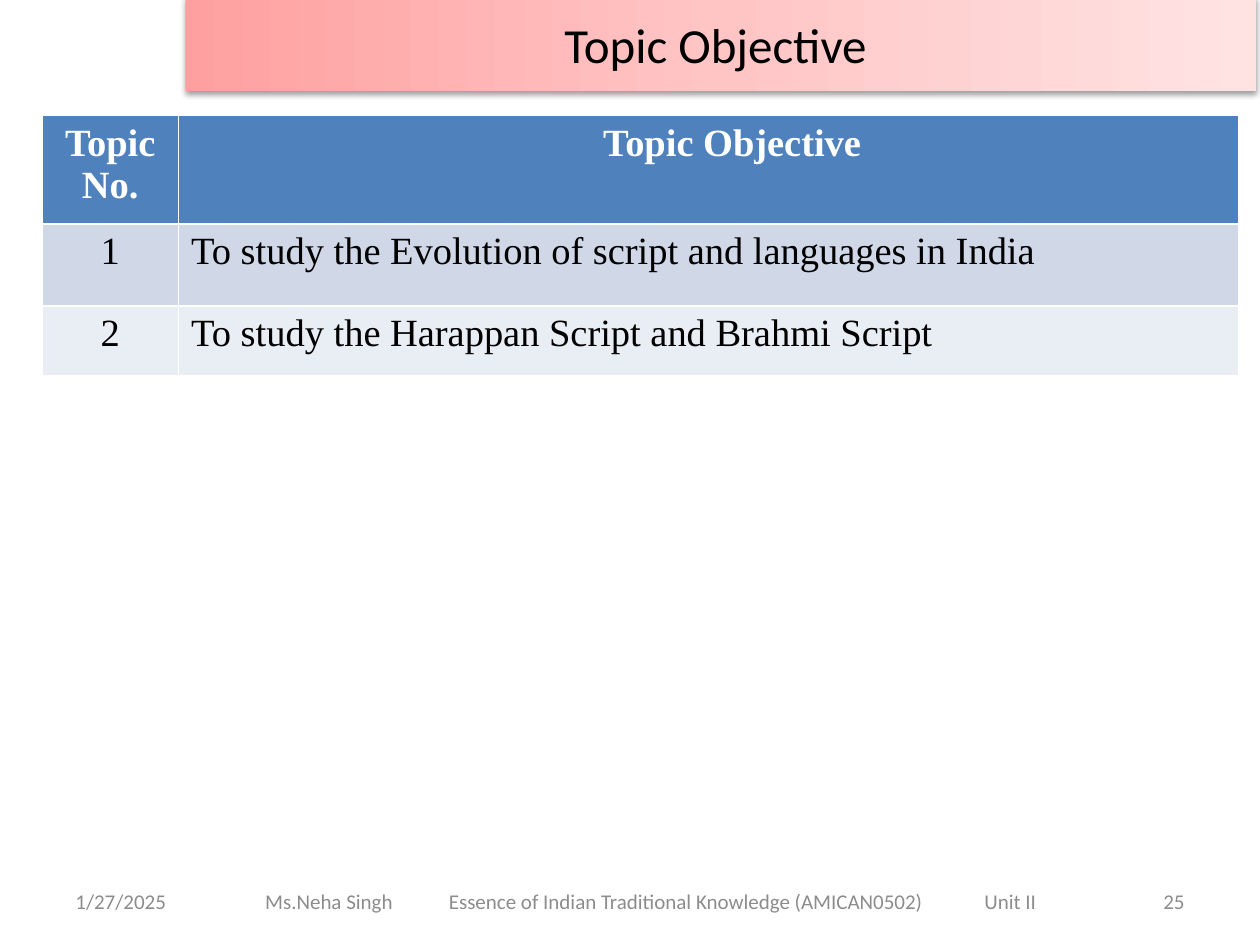
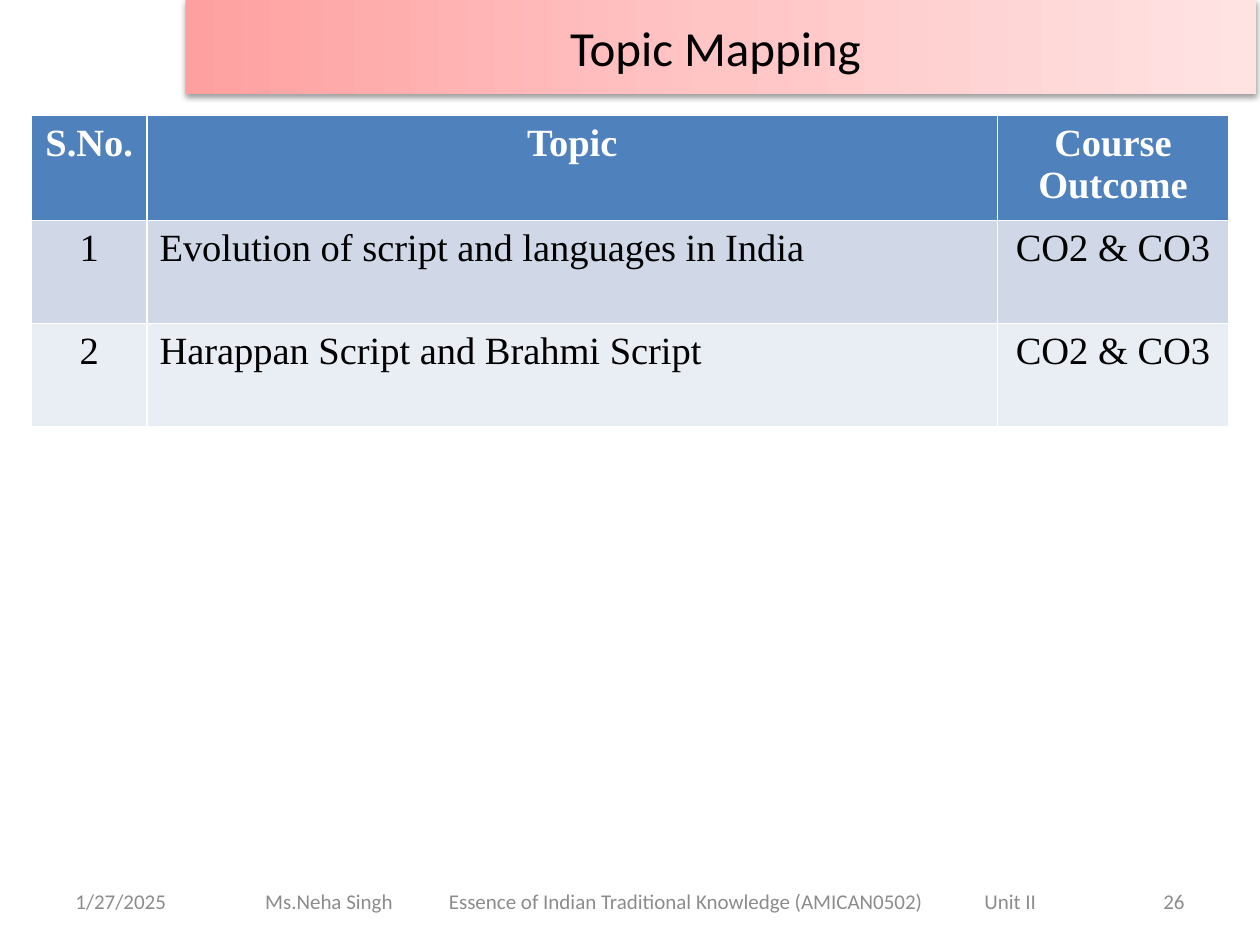
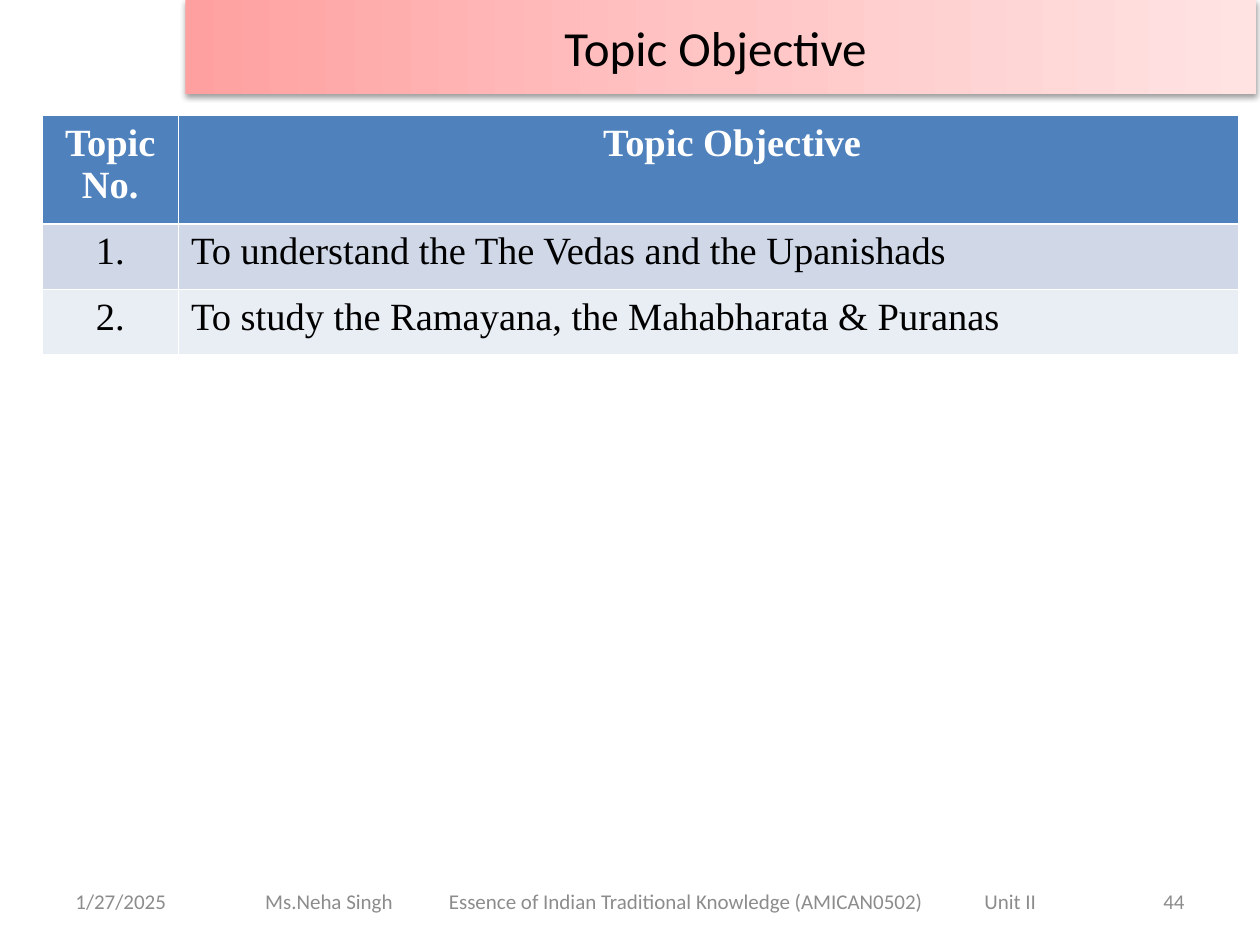
import pptx
import pptx.util
import pptx.oxml
import pptx.oxml.ns
import pptx.dml.color
import pptx.enum.text

Pt = pptx.util.Pt
RGB = pptx.dml.color.RGBColor
ALIGN = pptx.enum.text.PP_ALIGN
MIDDLE = pptx.enum.text.MSO_ANCHOR.MIDDLE

# Shared colours, fonts and texts
BLACK = RGB(0x00, 0x00, 0x00)
WHITE = RGB(0xFF, 0xFF, 0xFF)
GREY = RGB(0x8C, 0x8C, 0x8C)
HEAD = RGB(0x4F, 0x81, 0xBD)
BANDS = [RGB(0xD0, 0xD8, 0xE8), RGB(0xE9, 0xED, 0xF4)]
PINKS = [(0, RGB(0xFF, 0xA0, 0xA0)), (50, RGB(0xFF, 0xC5, 0xC5)),
         (100, RGB(0xFF, 0xE3, 0xE3))]
SANS, SERIF = "Calibri", "Times New Roman"
DATE = "1/27/2025"
COURSE = ("Ms.Neha Singh\tEssence of Indian Traditional Knowledge "
          "(AMICAN0502)\tUnit II")
TABS = [105, 411]
LEFT, MID, RIGHT, JUST = ALIGN.LEFT, ALIGN.CENTER, ALIGN.RIGHT, ALIGN.JUSTIFY
NS = pptx.oxml.ns.nsdecls("a")

stops = "".join(f'<a:gs pos="{pos * 1000}"><a:srgbClr val="{tint}"/></a:gs>'
                for pos, tint in PINKS)
GRAD = (f'<a:gradFill {NS} rotWithShape="1"><a:gsLst>{stops}</a:gsLst>'
        '<a:lin ang="0" scaled="0"/></a:gradFill>')
SHADOW = (f'<a:effectLst {NS}><a:outerShdw blurRad="{Pt(3.1)}" dist="{Pt(1.6)}" '
          'dir="5400000" rotWithShape="0"><a:srgbClr val="000000">'
          '<a:alpha val="38000"/></a:srgbClr></a:outerShdw></a:effectLst>')

# Per slide: title, top of band, number, table left, columns, rows,
# alignments, left margin of the second heading, cell texts
SLIDES = [
    ("Topic Objective", -2, "25", 24, [78, 606], [62, 47, 39.5], [MID, LEFT], 34,
     [["Topic No.", "Topic Objective"],
      ["1", "To study the Evolution of script and languages in India"],
      ["2", "To study the Harappan Script and Brahmi Script"]]),
    ("Topic Mapping", 0, "26", 18, [66, 486, 132], [59, 59, 59],
     [MID, JUST, MID], 7.2,
     [["S.No.", "Topic", "Course Outcome"],
      ["1", "Evolution of script and languages in India", "CO2 & CO3"],
      ["2", "Harappan Script and Brahmi Script", "CO2 & CO3"]]),
    ("Topic Objective", 0, "44", 24, [78, 606], [62, 37.5, 37.5], [MID, LEFT], 34,
     [["Topic No.", "Topic Objective"],
      ["1.", "To understand the The Vedas and the Upanishads"],
      ["2.", "To study the Ramayana, the Mahabharata & Puranas"]]),
]


def style(para, align, face, size, color, bold=False):
    para.alignment = align
    for run in para.runs:
        run.font.name = face
        run.font.size = Pt(size)
        run.font.bold = bold
        run.font.color.rgb = color


def footer(slide, left, width, text, align):
    box = slide.shapes.add_textbox(Pt(left), Pt(500.5), Pt(width), Pt(28.75))
    frame = box.text_frame
    frame.word_wrap = True
    frame.vertical_anchor = MIDDLE
    frame.text = text
    style(frame.paragraphs[0], align, SANS, 12, GREY)
    return frame


deck = pptx.Presentation()
deck.slide_width, deck.slide_height = Pt(720), Pt(540)

for name, top, number, left, cols, rows, aligns, inset, texts in SLIDES:
    slide = deck.slides.add_slide(deck.slide_layouts[5])

    # Footer line
    footer(slide, 36, 168, DATE, LEFT)
    frame = footer(slide, 126, 492, COURSE, LEFT)
    frame.margin_left = Pt(25.5)
    marks = "".join(f'<a:tab pos="{Pt(tab)}" algn="l"/>' for tab in TABS)
    frame.paragraphs[0]._p.get_or_add_pPr().append(
        pptx.oxml.parse_xml(f"<a:tabLst {NS}>{marks}</a:tabLst>"))
    footer(slide, 516, 168, number, RIGHT)

    # Title band
    title = slide.shapes.title
    title.left, title.top = Pt(106), Pt(top)
    title.width, title.height = Pt(612), Pt(54)
    for part in (GRAD, SHADOW):
        title._element.spPr.append(pptx.oxml.parse_xml(part))
    frame = title.text_frame
    frame.text = name
    frame.auto_size = pptx.enum.text.MSO_AUTO_SIZE.NONE
    frame.vertical_anchor = MIDDLE
    frame.margin_right = Pt(13.5)
    style(frame.paragraphs[0], MID, SANS, 28, BLACK)

    # Table
    table = slide.shapes.add_table(len(rows), len(cols), Pt(left), Pt(66),
                                   Pt(sum(cols)), Pt(sum(rows))).table
    for col, width in zip(table.columns, cols):
        col.width = Pt(width)
    for r, height in enumerate(rows):
        table.rows[r].height = Pt(height)
        for c, text in enumerate(texts[r]):
            cell = table.cell(r, c)
            cell.text = text
            cell.fill.solid()
            cell.fill.fore_color.rgb = BANDS[(r - 1) % 2] if r else HEAD
            style(cell.text_frame.paragraphs[0], aligns[c] if r else MID,
                  SERIF, 22, BLACK if r else WHITE, r == 0)
    table.cell(0, 1).margin_left = Pt(inset)

deck.save("out.pptx")
